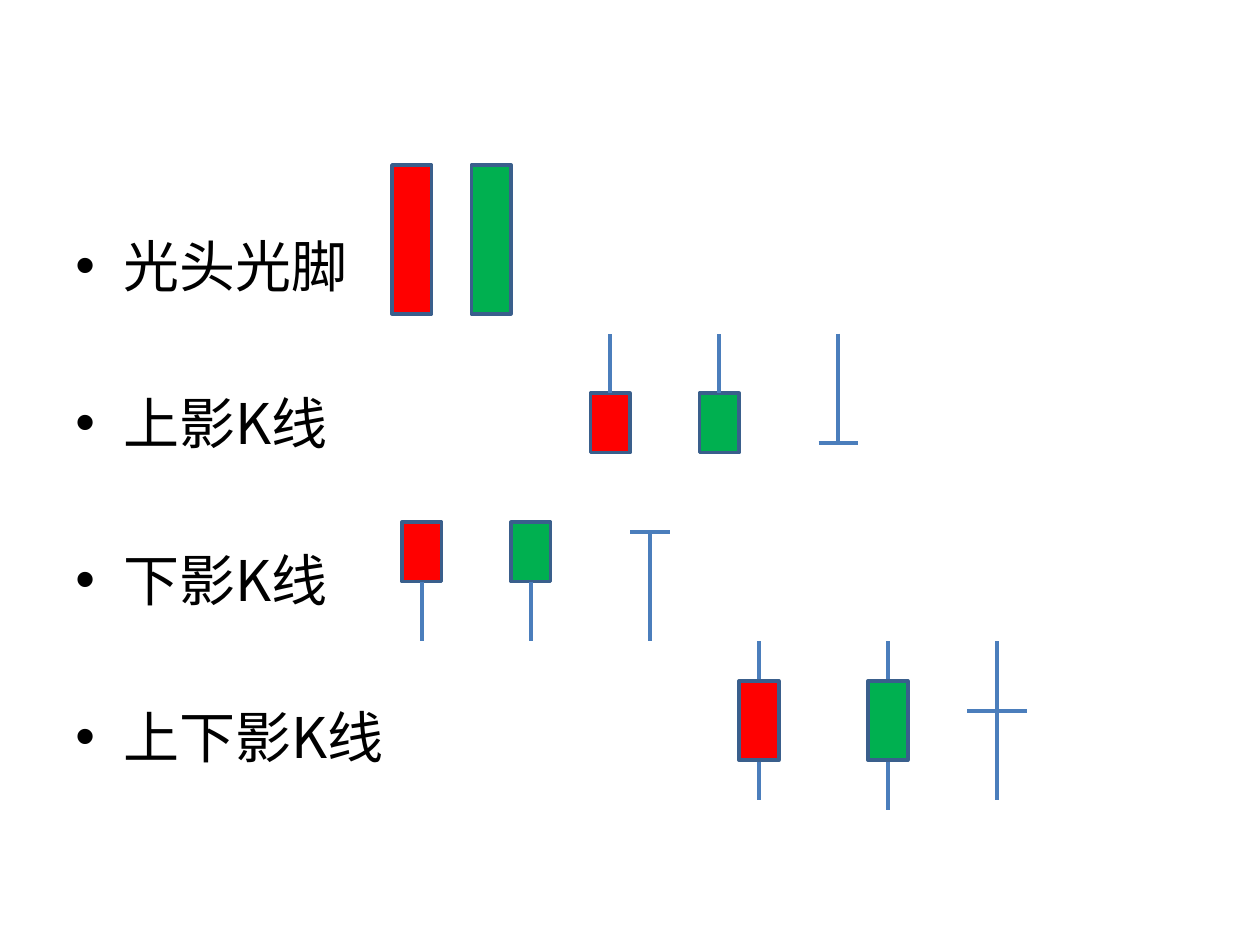
import pptx
import pptx.util
import pptx.dml.color
import pptx.enum.shapes
import pptx.oxml.ns
import lxml.etree

COLORS = {"red": "FF0000", "green": "00B050", "edge": "3A5F8C", "wick": "4B7EBC", "text": "000000"}
FONT = "Noto Sans CJK SC"
UNIT, LEFT, TOP = 0.2 / 2.54, 0.04, 0.05
BODY_W = 4
qn = pptx.oxml.ns.qn
Pt, Inches = pptx.util.Pt, pptx.util.Inches
RGB = pptx.dml.color.RGBColor.from_string

prs = pptx.Presentation()
prs.slide_width, prs.slide_height = Inches(10), Inches(7.5)
s = prs.slides.add_slide(prs.slide_layouts[6])


def add_body(col, row, rows, color):
    sp = s.shapes.add_shape(
        pptx.enum.shapes.MSO_SHAPE.RECTANGLE,
        Inches(LEFT + col * UNIT), Inches(TOP + row * UNIT),
        Inches(BODY_W * UNIT), Inches(rows * UNIT))
    sp.shadow.inherit = False
    sp.fill.solid()
    sp.fill.fore_color.rgb = RGB(COLORS[color])
    sp.line.color.rgb = RGB(COLORS["edge"])
    sp.line.width = Pt(2)
    return sp


def add_wick(col1, row1, col2, row2):
    cx = s.shapes.add_connector(
        pptx.enum.shapes.MSO_CONNECTOR.STRAIGHT,
        Inches(LEFT + col1 * UNIT), Inches(TOP + row1 * UNIT),
        Inches(LEFT + col2 * UNIT), Inches(TOP + row2 * UNIT))
    cx.line.color.rgb = RGB(COLORS["wick"])
    cx.line.width = Pt(2.25)
    lxml.etree.SubElement(cx._element.spPr, qn("a:effectLst"))
    return cx


tf = s.shapes.add_textbox(Inches(0.5), Inches(1.75), Inches(9), Inches(4.95)).text_frame
tf.word_wrap = True
for i, label in enumerate(["光头光脚", "上影K线", "下影K线", "上下影K线"]):
    p = tf.paragraphs[0] if i == 0 else tf.add_paragraph()
    p.line_spacing, p.space_after = Pt(41), Pt(48.7)
    pPr = p._p.get_or_add_pPr()
    pPr.set("marL", str(Inches(0.38)))
    pPr.set("indent", str(-Inches(0.38)))
    lxml.etree.SubElement(pPr, qn("a:buFont")).set("typeface", "Arial")
    lxml.etree.SubElement(pPr, qn("a:buChar")).set("char", "•")
    r = p.add_run()
    r.text = label
    r.font.size = Pt(32)
    r.font.name = FONT
    r.font.color.rgb = RGB(COLORS["text"])
    lxml.etree.SubElement(r._r.get_or_add_rPr(), qn("a:ea")).set("typeface", FONT)

for col, color in [(39, "red"), (47, "green")]:
    add_body(col, 16, 15, color)

for cols, row, tip, site in [((59, 70), 39, 33, 0), ((40, 51), 52, 64, 2)]:
    for col, color in zip(cols, ["red", "green"]):
        sp = add_body(col, row, 6, color)
        mid = col + BODY_W / 2
        add_wick(mid, row, mid, tip).begin_connect(sp, site)

for col, bar, width, top, bottom in [(82, 44, 4, 33, 44), (63, 53, 4, 53, 64), (97, 71, 6, 64, 80)]:
    add_wick(col, bar, col + width, bar)
    add_wick(col + width / 2, top, col + width / 2, bottom)

for col, bottom, color in [(74, 80, "red"), (87, 81, "green")]:
    add_wick(col + BODY_W / 2, 64, col + BODY_W / 2, bottom)
    add_body(col, 68, 8, color)

prs.save("out.pptx")
